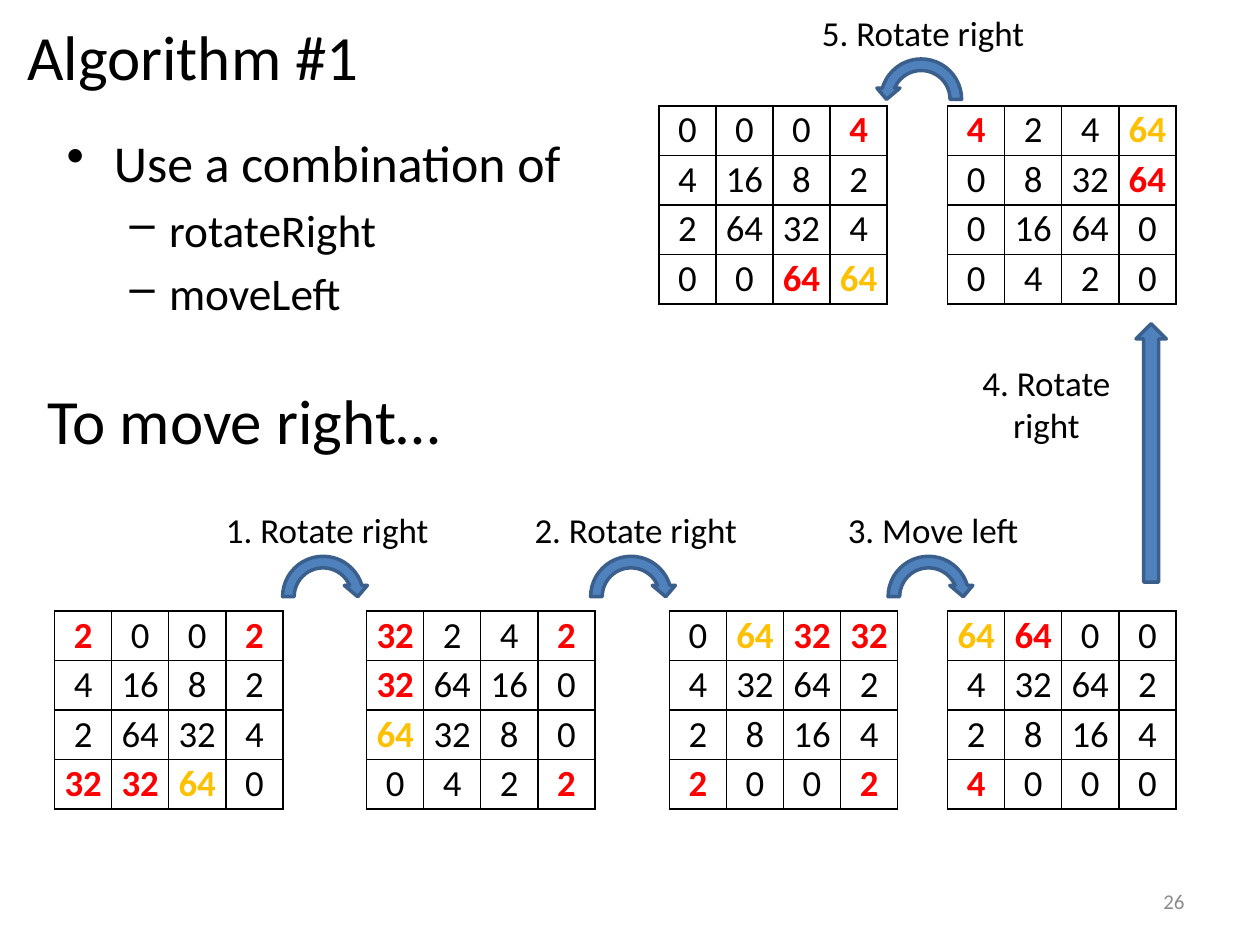
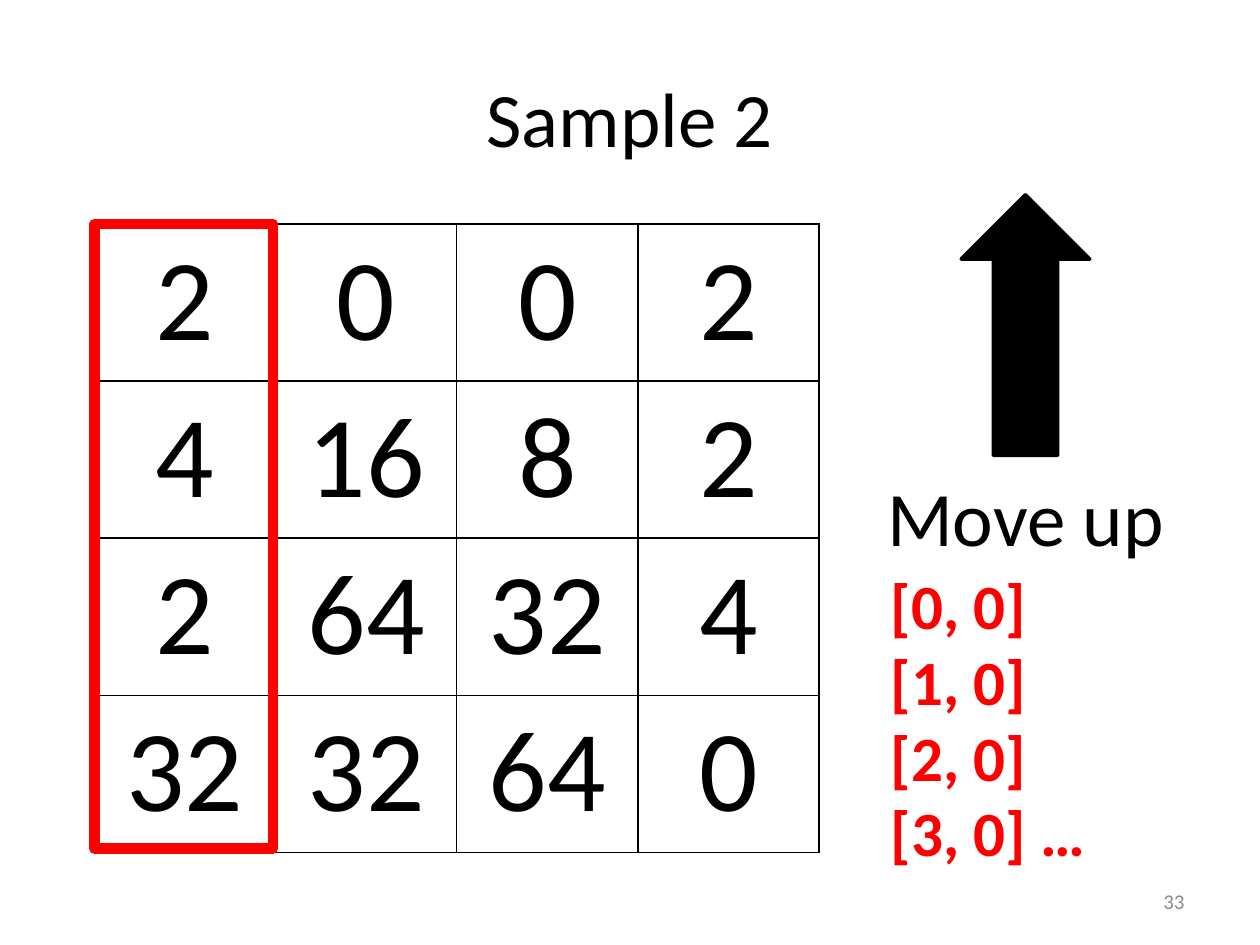
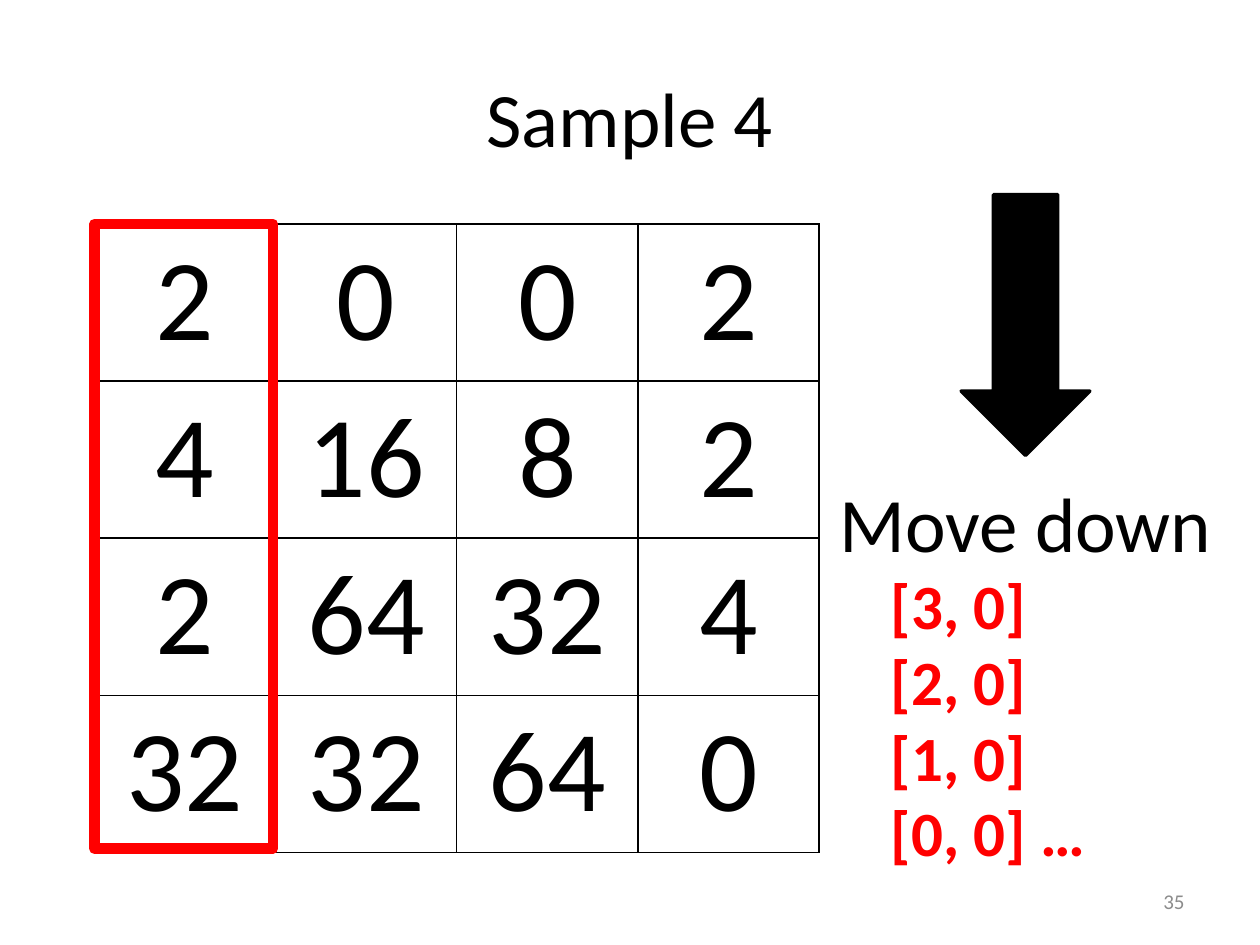
from dataclasses import dataclass

from lxml import etree
from pptx import Presentation
from pptx.dml.color import RGBColor
from pptx.enum.shapes import MSO_SHAPE
from pptx.enum.text import MSO_ANCHOR, PP_ALIGN
from pptx.oxml.ns import qn
from pptx.util import Pt

LEFT, CENTER, RIGHT = PP_ALIGN.LEFT, PP_ALIGN.CENTER, PP_ALIGN.RIGHT
TOP, MIDDLE = MSO_ANCHOR.TOP, MSO_ANCHOR.MIDDLE
CURVED, UP, STRAIGHT = MSO_SHAPE.CIRCULAR_ARROW, MSO_SHAPE.UP_ARROW, MSO_SHAPE.RIGHT_ARROW
FRAME = MSO_SHAPE.RECTANGLE

FONT = "Calibri"
BLACK, RED, GOLD, GREY = "000000", "FF0000", "FFC000", "8C8C8C"
BLUE, DARK_BLUE = "4F81BD", "3A5F8C"
MARKS = {"*": RED, "+": GOLD}  # suffix of a board value -> highlight colour


@dataclass
class Board:
    left: float
    top: float
    rows: str  # rows separated by "/", values by spaces


@dataclass
class Step:
    text: str
    left: float
    top: float
    width: float
    arrow_left: float
    flip: bool = False


@dataclass
class Sample:
    title: str
    move: str
    move_left: float
    move_top: float
    rotation: int
    visits: list[str]
    page: int


START = "2 0 0 2/4 16 8 2/2 64 32 4/32 32 64 0"
UPPER, LOWER = 60.5, 349.2
BOARDS = [
    Board(31.2, LOWER, "2* 0 0 2*/4 16 8 2/2 64 32 4/32* 32* 64+ 0"),
    Board(209.5, LOWER, "32* 2 4 2*/32* 64 16 0/64+ 32 8 0/0 4 2 2*"),
    Board(382.5, LOWER, "0 64+ 32* 32*/4 32 64 2/2 8 16 4/2* 0 0 2*"),
    Board(541.5, LOWER, "64+ 64* 0 0/4 32 64 2/2 8 16 4/4* 0 0 0"),
    Board(541.5, UPPER, "4* 2 4 64+/0 8 32 64*/0 16 64 0/0 4 2 0"),
    Board(376.5, UPPER, "0 0 0 4*/4 16 8 2/2 64 32 4/0 0 64* 64+"),
]
STEPS = [
    Step("1. Rotate right", 116, 287.2, 142, 158.2),
    Step("2. Rotate right", 292.3, 287.2, 142, 334.2),
    Step("3. Move left", 468, 287.2, 130.3, 504.2),
    Step("5. Rotate right", 456.5, 3, 142, 500, flip=True),
]
SAMPLES = [
    Sample("Sample 2", "Move up", 490, 265, 270,
           ["[0, 0]", "[1, 0]", "[2, 0]", "[3, 0] …"], 33),
    Sample("Sample 4", "Move down", 472, 268, 90,
           ["[3, 0]", "[2, 0]", "[1, 0]", "[0, 0] …"], 35),
]


def rgb(color: str) -> RGBColor:
    return RGBColor.from_string(color)


def style(p, size: float, color: str = BLACK, bold: bool = False, align=LEFT) -> None:
    p.alignment = align
    for r in p.runs:
        r.font.name, r.font.size, r.font.bold = FONT, Pt(size), bold
        r.font.color.rgb = rgb(color)


def add_text(slide, text: str, left: float, top: float, width: float, height: float,
             size: float, color: str = BLACK, bold: bool = False, align=LEFT, anchor=TOP):
    box = slide.shapes.add_textbox(Pt(left), Pt(top), Pt(width), Pt(height))
    tf = box.text_frame
    tf.word_wrap = True
    tf.vertical_anchor = anchor
    tf.text = text
    for p in tf.paragraphs:
        style(p, size, color, bold, align)
    return tf


def add_page_number(slide, page: int) -> None:
    add_text(slide, str(page), 516, 500.5, 168, 28.8, 12, GREY, align=RIGHT, anchor=MIDDLE)


def add_shape(slide, kind, left: float, top: float, width: float, height: float,
              line: str, weight: float = 2, fill: str | None = None):
    s = slide.shapes.add_shape(kind, Pt(left), Pt(top), Pt(width), Pt(height))
    s.shadow.inherit = False
    if fill:
        s.fill.solid()
        s.fill.fore_color.rgb = rgb(fill)
    else:
        s.fill.background()
    s.line.color.rgb = rgb(line)
    s.line.width = Pt(weight)
    return s


def set_borders(cell) -> None:
    tc_pr = cell._tc.get_or_add_tcPr()
    for side in ("a:lnL", "a:lnR", "a:lnT", "a:lnB"):
        ln = etree.SubElement(tc_pr, qn(side), w=str(Pt(1)))
        fill = etree.SubElement(ln, qn("a:solidFill"))
        etree.SubElement(fill, qn("a:srgbClr"), val=BLACK)


def add_board(slide, board: Board, col_width: float, row_height: float, size: float,
              margins: tuple[float, float] = (7.2, 3.6)) -> None:
    """Draw a board; margins are the horizontal and vertical cell insets."""
    rows = [row.split() for row in board.rows.split("/")]
    n_rows, n_cols = len(rows), len(rows[0])
    table = slide.shapes.add_table(n_rows, n_cols, Pt(board.left), Pt(board.top),
                                   Pt(col_width * n_cols), Pt(row_height * n_rows)).table
    table.first_row = table.horz_banding = False
    for column in table.columns:
        column.width = Pt(col_width)
    for i, values in enumerate(rows):
        table.rows[i].height = Pt(row_height)
        for j, value in enumerate(values):
            cell = table.cell(i, j)
            cell.margin_left = cell.margin_right = Pt(margins[0])
            cell.margin_top = cell.margin_bottom = Pt(margins[1])
            set_borders(cell)
            cell.fill.background()
            mark = MARKS.get(value[-1])
            cell.text = value[:-1] if mark else value
            style(cell.text_frame.paragraphs[0], size, mark or BLACK, bool(mark), CENTER)


def set_bullet(p, char: str, margin: float, hang: float) -> None:
    p_pr = p._p.get_or_add_pPr()
    p_pr.set("marL", str(Pt(margin)))
    p_pr.set("indent", str(Pt(-hang)))
    etree.SubElement(p_pr, qn("a:buChar"), char=char)


def add_step(slide, step: Step) -> None:
    add_text(slide, step.text, step.left, step.top, step.width, 31.5, 20, align=CENTER)
    arrow = add_shape(slide, CURVED, step.arrow_left, step.top + 27.4, 52.8, 52.8,
                      DARK_BLUE, fill=BLUE)
    if step.flip:
        arrow.element.spPr.find(qn("a:xfrm")).set("flipH", "1")


def build_algorithm(slide) -> None:
    add_text(slide, "Algorithm #1", 8.5, 6.5, 711, 51, 36)
    tf = add_text(slide, "Use a combination of\nrotateRight\nmoveLeft", 31, 71.3, 302.4, 142, 29.6)
    first, *rest = tf.paragraphs
    set_bullet(first, "•", 27, 27)
    for p in rest:
        p.level = 1
        set_bullet(p, "–", 58.5, 22.5)
        p.space_before = Pt(5)
        style(p, 25.9)
    add_text(slide, "To move right…", 20, 214.5, 329, 51, 36)
    for board in BOARDS:
        add_board(slide, board, 32.6, 28.3, 21, (2.2, 1.1))
    for step in STEPS:
        add_step(slide, step)
    add_shape(slide, UP, 649.2, 185, 17.3, 147.6, DARK_BLUE, fill=BLUE)
    add_text(slide, "4. Rotate right", 541.5, 203, 113, 55.5, 20, align=CENTER)
    add_page_number(slide, 26)


def build_sample(slide, sample: Sample) -> None:
    add_text(slide, sample.title, 36, 21.6, 648, 90, 44, align=CENTER, anchor=MIDDLE)
    add_board(slide, Board(54, 128, START), 103.5, 89.8, 66)
    add_text(slide, sample.move, sample.move_left, sample.move_top,
             2 * (586 - sample.move_left), 60.5, 44, align=CENTER)
    arrow = add_shape(slide, STRAIGHT, 511.5, 149, 149, 73.5, BLACK, fill=BLACK)
    arrow.rotation = sample.rotation
    add_shape(slide, FRAME, 54, 128, 102, 357, RED, 6)
    add_text(slide, "\n".join(sample.visits), 502, 320.4, 180.7, 181.5, 36, RED, True)
    add_page_number(slide, sample.page)


def main() -> None:
    prs = Presentation()
    prs.slide_width, prs.slide_height = Pt(720), Pt(540)
    blank = prs.slide_layouts[6]
    build_algorithm(prs.slides.add_slide(blank))
    for sample in SAMPLES:
        build_sample(prs.slides.add_slide(blank), sample)
    prs.save("out.pptx")


if __name__ == "__main__":
    main()
